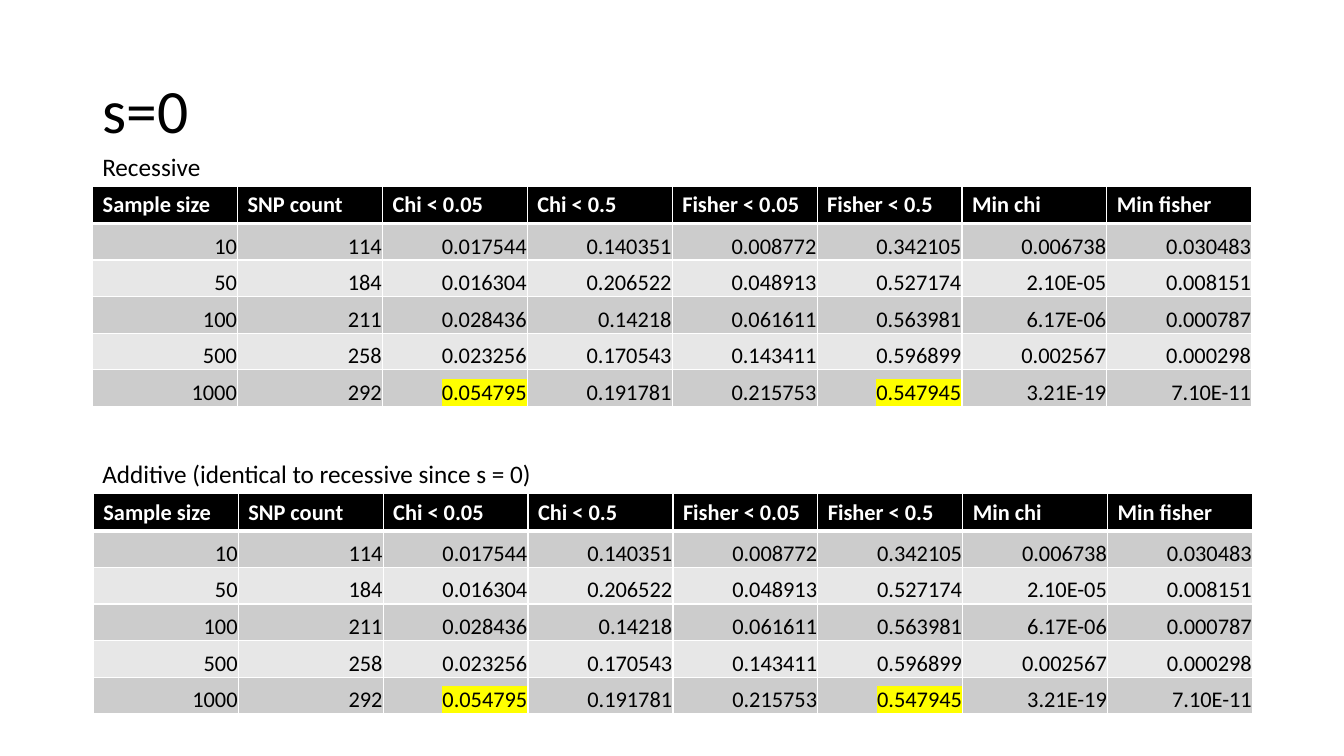
import pptx
import pptx.dml.color
import pptx.enum.text
import pptx.oxml
import pptx.oxml.ns
import pptx.util

Pt = pptx.util.Pt
ANCHOR = pptx.enum.text.MSO_ANCHOR
ALIGN = pptx.enum.text.PP_ALIGN
NS = pptx.oxml.ns.nsdecls("a")


def rgb(hex_code):
    return pptx.dml.color.RGBColor.from_string(hex_code)


def write(frame, text, size, color="000000", bold=False):
    run = frame.paragraphs[0].add_run()
    run.text = text
    font_format = {"name": "Calibri", "size": Pt(size), "bold": bold}
    for attribute, value in font_format.items():
        setattr(run.font, attribute, value)
    run.font.color.rgb = rgb(color)
    return run


deck = pptx.Presentation()
deck.slide_width, deck.slide_height = Pt(960), Pt(540)
slide = deck.slides.add_slide(deck.slide_layouts[6])

# Results shared by both models
columns = ["Sample size", "SNP count", "Chi < 0.05", "Chi < 0.5",
           "Fisher < 0.05", "Fisher < 0.5", "Min chi", "Min fisher"]
results = [
    ["10", "114", "0.017544", "0.140351", "0.008772", "0.342105", "0.006738", "0.030483"],
    ["50", "184", "0.016304", "0.206522", "0.048913", "0.527174", "2.10E-05", "0.008151"],
    ["100", "211", "0.028436", "0.14218", "0.061611", "0.563981", "6.17E-06", "0.000787"],
    ["500", "258", "0.023256", "0.170543", "0.143411", "0.596899", "0.002567", "0.000298"],
    ["1000", "292", "0.054795", "0.191781", "0.215753", "0.547945", "3.21E-19", "7.10E-11"],
]
highlighted = {"0.054795", "0.547945"}
rows = [columns] + results
row_height = 26.15
column_width = 103.5
value_format = {"vertical_anchor": ANCHOR.BOTTOM, "margin_left": Pt(0.5),
                "margin_right": Pt(0.5), "margin_top": Pt(0.5), "margin_bottom": Pt(0)}

# Title
title = slide.shapes.add_textbox(Pt(66), Pt(28.75), Pt(828), Pt(104.4)).text_frame
title.word_wrap = True
title.vertical_anchor = ANCHOR.MIDDLE
title.paragraphs[0].line_spacing = 0.9
write(title, "s=0", 44)

# Model captions, each with its table
models = [
    ("Recessive", 104.2, 86, 66.2, 133.2),
    ("Additive (identical to recessive since s = 0)", 323.6, 325, 66.7, 352.7),
]
for caption, caption_top, caption_width, table_left, table_top in models:
    label = slide.shapes.add_textbox(Pt(66), Pt(caption_top), Pt(caption_width), Pt(29)).text_frame
    label.word_wrap = False
    label.auto_size = pptx.enum.text.MSO_AUTO_SIZE.SHAPE_TO_FIT_TEXT
    write(label, caption, 18)

    table = slide.shapes.add_table(
        len(rows), len(columns), Pt(table_left), Pt(table_top),
        Pt(column_width * len(columns)), Pt(row_height * len(rows))).table
    for column in table.columns:
        column.width = Pt(column_width)

    for r, values in enumerate(rows):
        table.rows[r].height = Pt(row_height)
        is_header = r == 0
        for c, value in enumerate(values):
            cell = table.cell(r, c)

            # White rules, heavier under the header
            rules = {"lnL": 1, "lnR": 1, "lnT": 3 if r == 1 else 1, "lnB": 3 if is_header else 1}
            for side, weight in rules.items():
                cell._tc.get_or_add_tcPr().append(pptx.oxml.parse_xml(
                    f'<a:{side} {NS} w="{Pt(weight)}"><a:solidFill>'
                    f'<a:srgbClr val="FFFFFF"/></a:solidFill></a:{side}>'))

            cell.fill.solid()
            cell.fill.fore_color.rgb = rgb("000000" if is_header else ("E7E7E7", "CCCCCC")[r % 2])
            if is_header:
                write(cell.text_frame, value, 16, "FFFFFF", True)
                continue

            for attribute, setting in value_format.items():
                setattr(cell, attribute, setting)
            cell.text_frame.paragraphs[0].alignment = ALIGN.RIGHT
            run = write(cell.text_frame, value, 16)
            if value in highlighted:
                text_fill = run.font._element.find(pptx.oxml.ns.qn("a:solidFill"))
                text_fill.addnext(pptx.oxml.parse_xml(
                    f'<a:highlight {NS}><a:srgbClr val="FFFF00"/></a:highlight>'))

deck.save("out.pptx")
